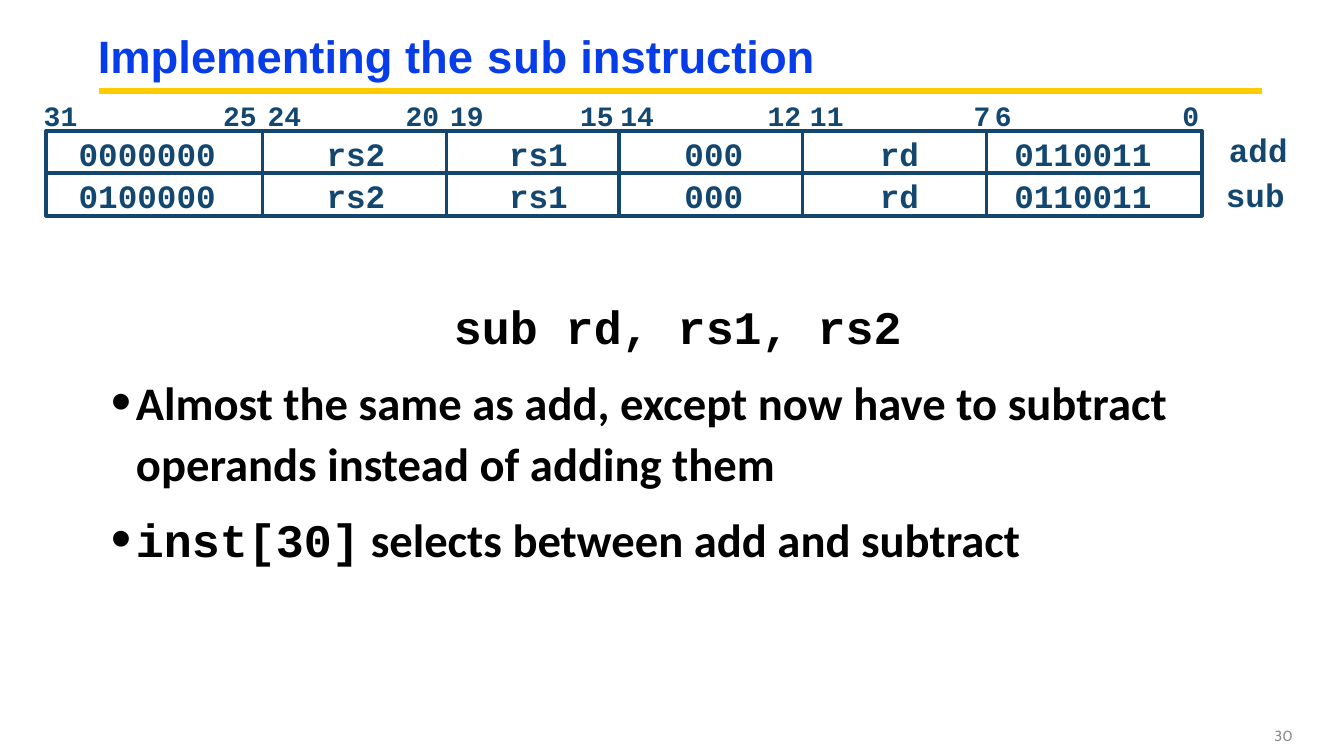
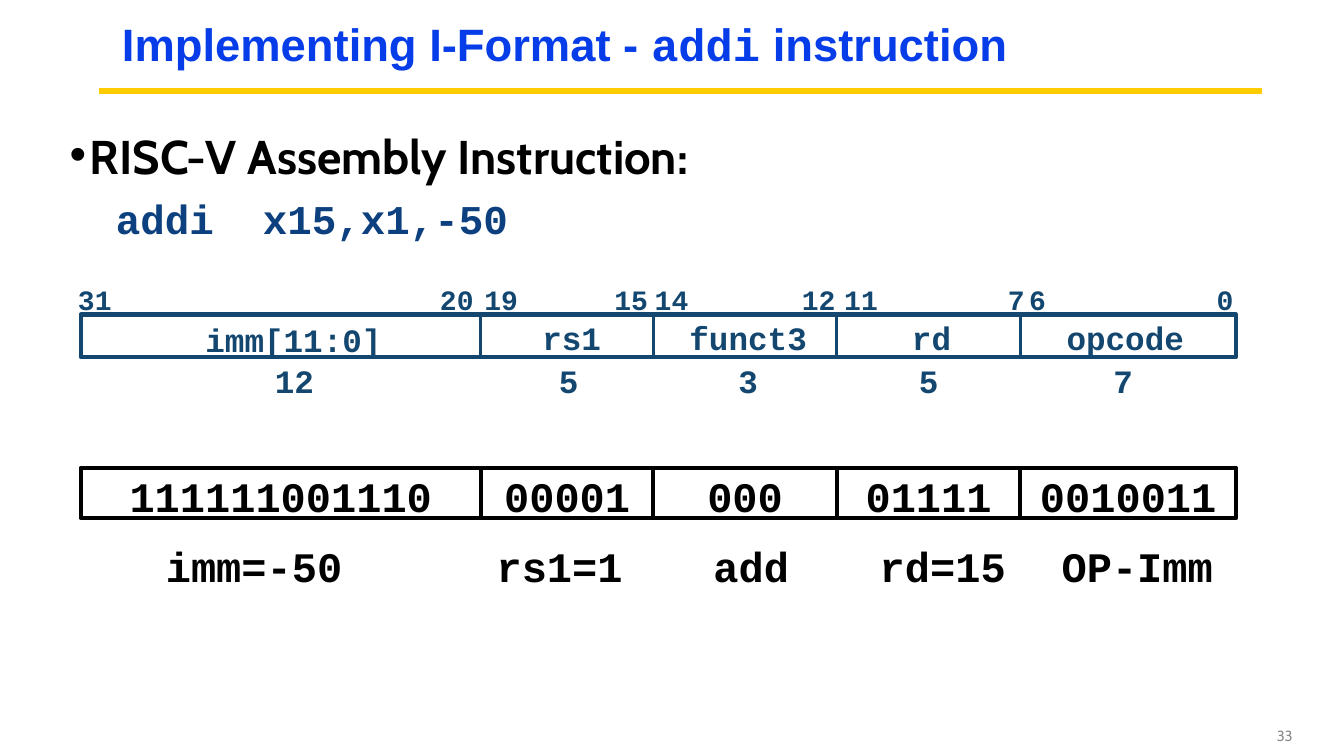
from lxml.etree import SubElement
from pptx import Presentation
from pptx.dml.color import RGBColor
from pptx.enum.shapes import MSO_CONNECTOR, MSO_SHAPE
from pptx.enum.text import MSO_ANCHOR, MSO_AUTO_SIZE, PP_ALIGN
from pptx.oxml.ns import qn
from pptx.util import Inches, Pt

# Shared look: all places are columns and rows of a one-inch grid
WIDE, HIGH = 13.33, 7.5
BLUE, GOLD, NAVY, INK = "063DE9", "FFCC00", "134770", "000000"
DEEP, GREY, WHITE = "0D407F", "8C8C8C", "FFFFFF"
SANS, MONO, TEXT, SOFT = "Arial", "Courier New", "Calibri", "Cabin"
CODE, BIT, BIG = 23.3, 20, 30

# Bit field grid, measured from its left edge
EDGES = [0, 2.14, 3.97, 5.68, 7.5, 9.32, 11.46]
MARKS = {31: 0.14, 25: 1.92, 24: 2.36, 20: 3.73, 19: 4.17, 15: 5.46,
         14: 5.86, 12: 7.32, 11: 7.74, 7: 9.28, 6: 9.49, 0: 11.35}
TALL = 0.42


def say(para, word, font, size, hue, bold=True):
    run = para.add_run()
    run.text = word
    run.font.name, run.font.size, run.font.bold = font, Pt(size), bold
    run.font.color.rgb = RGBColor.from_string(hue)


def label(slide, word, mid, top, size, hue=NAVY):
    wide = len(word) * size * 0.6 / 72 + 0.2
    box = slide.shapes.add_textbox(Inches(mid - wide / 2), Inches(top),
                                   Inches(wide), Inches(size / 60 + 0.1))
    box.text_frame.word_wrap = False
    para = box.text_frame.paragraphs[0]
    para.alignment = PP_ALIGN.CENTER
    say(para, word, MONO, size, hue)


deck = Presentation()
deck.slide_width, deck.slide_height = Inches(WIDE), Inches(HIGH)
lines, cells = [], []

# Titles, gold rules and page numbers
heads = [
    ((0.87, 0.27, 11.21, 0.63), "30",
     [("Implementing the ", SANS), ("sub", MONO), (" instruction", SANS)]),
    ((1.11, 0.17, 10.97, 0.58), "33",
     [("Implementing I-Format - ", SANS), ("addi", MONO),
      (" instruction", SANS)]),
]
for place, page, runs in heads:
    slide = deck.slides.add_slide(deck.slide_layouts[5])
    title = slide.shapes.title
    title.left, title.top, title.width, title.height = map(Inches, place)
    frame = title.text_frame
    frame.auto_size = MSO_AUTO_SIZE.NONE
    frame.vertical_anchor = MSO_ANCHOR.MIDDLE
    para = frame.paragraphs[0]
    para.alignment, para.line_spacing = PP_ALIGN.LEFT, 0.9
    for word, font in runs:
        say(para, word, font, 32.4, BLUE)
    lines.append((slide, 0.98, 0.9, 12.52, 0.9, GOLD, 4.5))

    foot = slide.shapes.add_textbox(*map(Inches, (12.08, 7.1, 0.84, 0.4)))
    foot.text_frame.word_wrap = True
    foot.text_frame.vertical_anchor = MSO_ANCHOR.MIDDLE
    para = foot.text_frame.paragraphs[0]
    para.alignment = PP_ALIGN.RIGHT
    say(para, page, SOFT, 10.5, GREY, False)
first, last = deck.slides

# Body text: align, indent, hang, line spacing, space before, bullet, runs
bodies = [
    (first, (1, 2.85, 11.45, 2.85), 0.1, 0.05, [
        (PP_ALIGN.CENTER, 0, 0, 1.1, 10, 0,
         [("sub rd, rs1, rs2", MONO, 33.3, INK)]),
        (PP_ALIGN.LEFT, 0.25, -0.25, 1.1, 10, 125,
         [("Almost the same as add, except now have to subtract "
           "operands instead of adding them", TEXT, 33.3, INK)]),
        (PP_ALIGN.LEFT, 0.25, -0.25, 1.1, 10, 125,
         [("inst[30]", MONO, 33.3, INK),
          (" selects between add and subtract", TEXT, 33.3, INK)]),
    ]),
    (last, (0.67, 1.42, 12, 1.04), 0.02, 0.02, [
        (PP_ALIGN.LEFT, 0.2, -0.2, 0.65, 29.7, 100,
         [("RISC-V Assembly Instruction:", SOFT, 33.8, INK)]),
        (PP_ALIGN.LEFT, 0.65, -0.19, 0.75, 16.2, 0,
         [("addi  x15,x1,-50", MONO, 29.2, DEEP)]),
    ]),
]
for slide, place, side, edge, paras in bodies:
    frame = slide.shapes.add_textbox(*map(Inches, place)).text_frame
    frame.word_wrap = True
    frame.margin_left = frame.margin_right = Inches(side)
    frame.margin_top = frame.margin_bottom = Inches(edge)
    for n, (align, dent, hang, gap, above, dot, runs) in enumerate(paras):
        para = frame.add_paragraph() if n else frame.paragraphs[0]
        para.alignment, para.line_spacing = align, gap
        para.space_before = Pt(above)
        props = para._p.get_or_add_pPr()
        props.set("marL", str(Inches(dent)))
        props.set("indent", str(Inches(hang)))
        if dot:
            SubElement(props, qn("a:buSzPct")).set("val", str(dot * 1000))
            SubElement(props, qn("a:buFont")).set("typeface", SANS)
            SubElement(props, qn("a:buChar")).set("char", "•")
        for run in runs:
            say(para, *run)

# Bit fields: slide, left, top, edges, skipped marks, middles, rows of words
short = EDGES[:1] + EDGES[2:]
grids = [
    (first, 0.46, 1.3, EDGES, (), [1, 3.07, 4.88, 6.62, 8.46, 10.28],
     [["0000000", "rs2", "rs1", "000", "rd", "0110011"],
      ["0100000", "rs2", "rs1", "000", "rd", "0110011"]]),
    (last, 0.8, 3.12, short, (25, 24), [2.11, 4.87, 6.62, 8.44, 10.36],
     [["imm[11:0]", "rs1", "funct3", "rd", "opcode"]]),
]
for slide, left, top, edges, skip, mids, rows in grids:
    for bit, dx in MARKS.items():
        if bit not in skip:
            label(slide, str(bit), left + dx, top - 0.37, BIT)
    for n, words in enumerate(rows):
        y = top + n * TALL
        cells.append((slide, left, y, edges[-1], TALL, NAVY, ""))
        for dx in edges[1:-1]:
            lines.append((slide, left + dx, y, left + dx, y + TALL,
                          NAVY, 2.25))
        for word, mid in zip(words, mids):
            drop = 0 if word.startswith("imm") else 0.02
            label(slide, word, left + mid, y - drop, CODE)

# Names beside the rows of the first slide
label(first, "add", 12.48, 1.24, CODE)
label(first, "sub", 12.45, 1.69, CODE)

# Field widths, encoded values and their meaning on the last slide
left = 0.8
values = ["111111001110", "00001", "000", "01111", "0010011"]
for n, word in enumerate(values):
    cells.append((last, left + short[n], 4.64, short[n + 1] - short[n], 0.5,
                  INK, word))
for word, mid in zip(["12", "5", "3", "5", "7"],
                     [2.12, 4.84, 6.62, 8.41, 10.34]):
    label(last, word, left + mid, 3.53, CODE)
for word, mid in zip(["imm=-50", "rs1=1", "add", "rd=15", "OP-Imm"],
                     [1.72, 4.75, 6.65, 8.55, 10.48]):
    label(last, word, left + mid, 5.31, BIG, INK)

# Draw the boxes
for slide, x, y, wide, tall, hue, word in cells:
    box = slide.shapes.add_shape(MSO_SHAPE.RECTANGLE,
                                 *map(Inches, (x, y, wide, tall)))
    box.shadow.inherit = False
    box.line.color.rgb = RGBColor.from_string(hue)
    box.line.width = Pt(3)
    if not word:
        box.fill.background()
        continue
    box.fill.solid()
    box.fill.fore_color.rgb = RGBColor.from_string(WHITE)
    frame = box.text_frame
    frame.margin_bottom = 0
    frame.vertical_anchor = MSO_ANCHOR.MIDDLE
    frame.paragraphs[0].alignment = PP_ALIGN.CENTER
    say(frame.paragraphs[0], word, MONO, BIG, INK)

# Draw the lines
for slide, x1, y1, x2, y2, hue, thick in lines:
    line = slide.shapes.add_connector(MSO_CONNECTOR.STRAIGHT,
                                      *map(Inches, (x1, y1, x2, y2)))
    line.line.color.rgb = RGBColor.from_string(hue)
    line.line.width = Pt(thick)
    SubElement(line._element.spPr, qn("a:effectLst"))

deck.save("out.pptx")
